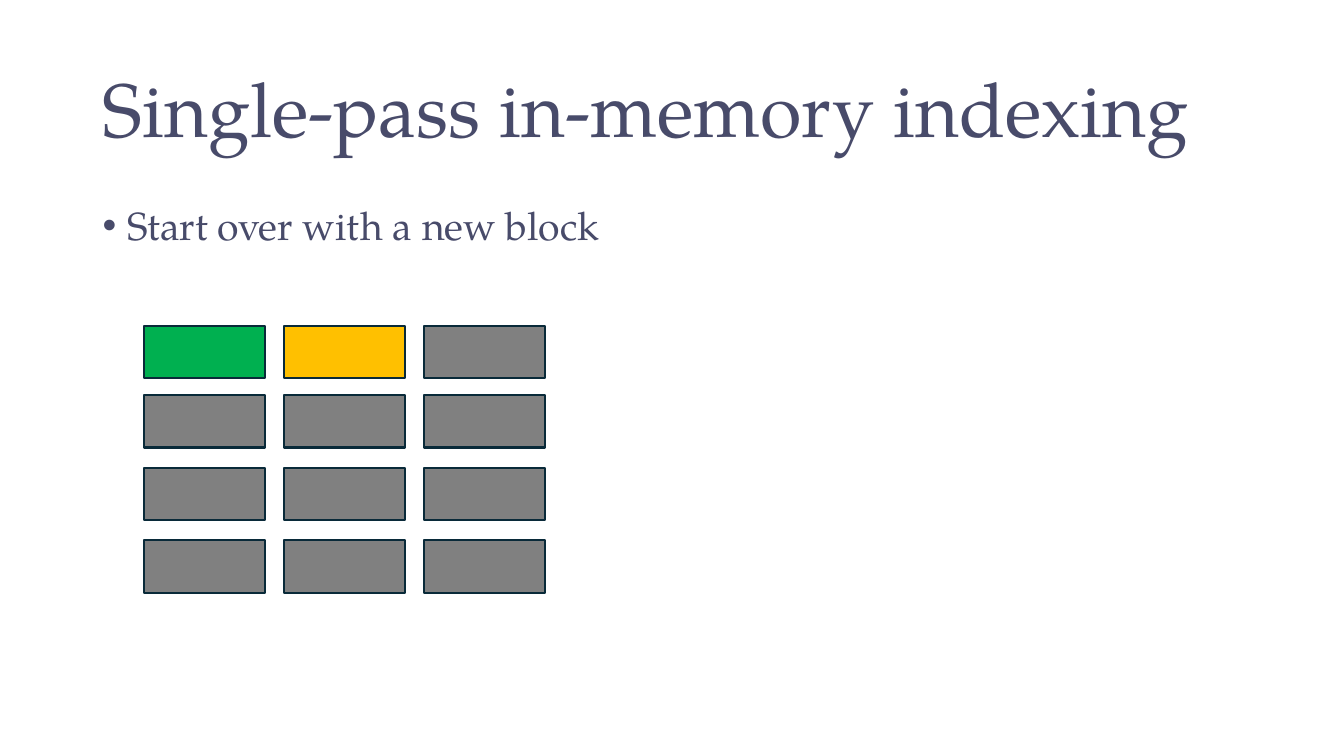
from lxml.etree import SubElement
from pptx import Presentation
from pptx.dml.color import RGBColor
from pptx.enum.shapes import MSO_SHAPE
from pptx.enum.text import MSO_ANCHOR
from pptx.oxml.ns import qn
from pptx.util import Pt

FONT = "TeX Gyre Pagella"
INK, EDGE = "484B6A", "092A39"
GREEN, AMBER, GREY = "00B050", "FFC000", "808080"

# Block grid, in points
BLOCK_W, BLOCK_H = 86.4, 37.44
GRID_LEFT, COLUMN_STEP = 102.96, 100.08
ROW_TOPS = [232.56, 282.24, 334.08, 385.92]
TOP_ROW_FILLS = [GREEN, AMBER, GREY]


def rgb(color):
    return RGBColor.from_string(color)


def add_bullet(p, indent):
    pPr = p._p.get_or_add_pPr()
    pPr.set("marL", str(Pt(indent)))
    pPr.set("indent", str(-Pt(indent)))
    SubElement(pPr, qn("a:buFont")).set("typeface", "Arial")
    SubElement(pPr, qn("a:buChar")).set("char", "•")


def add_text(s, text, left, top, width, height, *, size,
             anchor=MSO_ANCHOR.TOP, bullet_indent=None):
    box = s.shapes.add_textbox(Pt(left), Pt(top), Pt(width), Pt(height))
    tf = box.text_frame
    tf.word_wrap = True
    tf.vertical_anchor = anchor
    p = tf.paragraphs[0]
    if bullet_indent:
        add_bullet(p, bullet_indent)
    p.line_spacing = 0.9
    r = p.add_run()
    r.text = text
    r.font.name = FONT
    r.font.size = Pt(size)
    r.font.color.rgb = rgb(INK)


def add_block(s, left, top, fill):
    sp = s.shapes.add_shape(MSO_SHAPE.RECTANGLE, Pt(left), Pt(top),
                            Pt(BLOCK_W), Pt(BLOCK_H))
    sp.shadow.inherit = False
    sp.fill.solid()
    sp.fill.fore_color.rgb = rgb(fill)
    sp.line.color.rgb = rgb(EDGE)
    sp.line.width = Pt(1.5)


def main():
    prs = Presentation()
    prs.slide_width, prs.slide_height = Pt(960), Pt(540)
    s = prs.slides.add_slide(prs.slide_layouts[6])

    # Title and bullet
    add_text(s, "Single-pass in-memory indexing", 66.24, 28.8, 828, 104.4,
             size=54, anchor=MSO_ANCHOR.MIDDLE)
    add_text(s, "Start over with a new block", 66.24, 144, 828, 381.6,
             size=28, bullet_indent=18)

    # Blocks: only the top row holds coloured ones
    for column, top_fill in enumerate(TOP_ROW_FILLS):
        for row, top in enumerate(ROW_TOPS):
            add_block(s, GRID_LEFT + column * COLUMN_STEP, top,
                      GREY if row else top_fill)

    prs.save("out.pptx")


if __name__ == "__main__":
    main()
